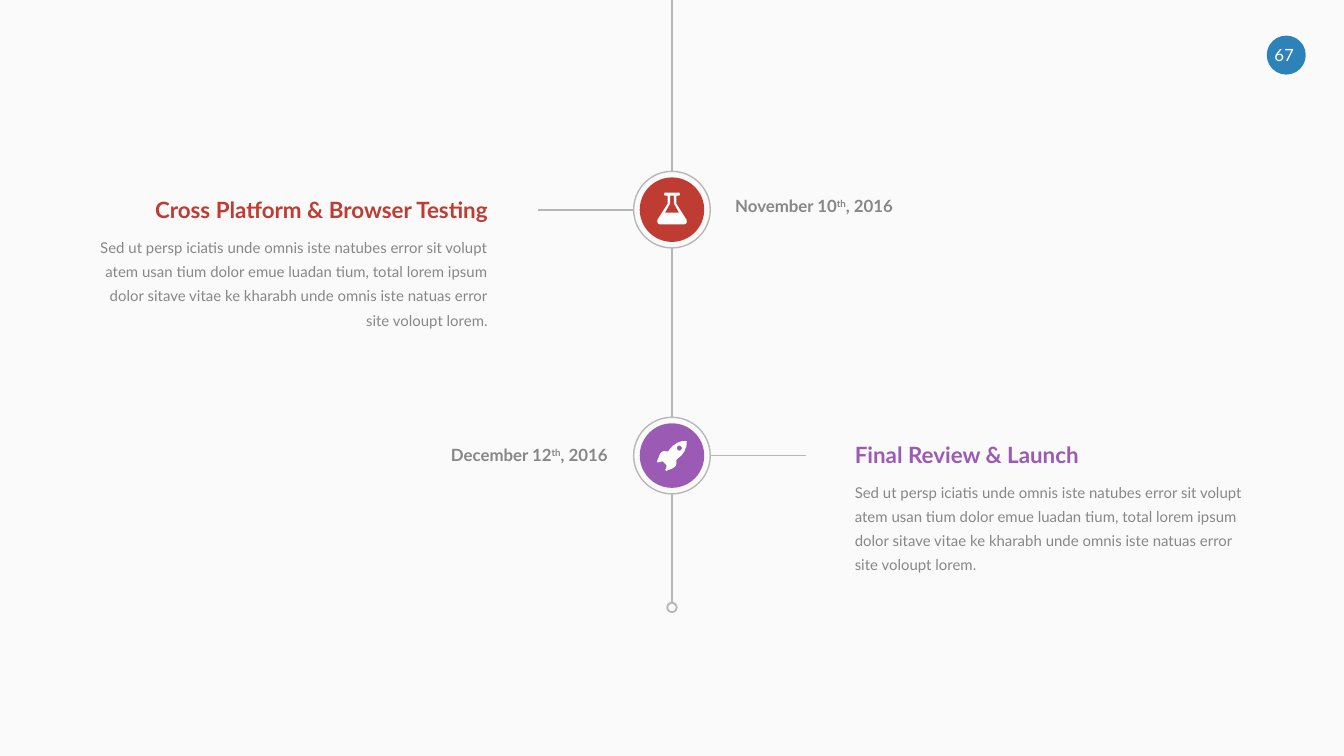
"""Build the closing timeline slide with two milestones."""
import math

import lxml.etree
import pptx
import pptx.dml.color
import pptx.enum.shapes
import pptx.enum.text
import pptx.oxml.ns
import pptx.util

Inches = pptx.util.Inches
RGBColor = pptx.dml.color.RGBColor
MSO_SHAPE = pptx.enum.shapes.MSO_SHAPE
LEFT = pptx.enum.text.PP_ALIGN.LEFT
CENTER = pptx.enum.text.PP_ALIGN.CENTER
RIGHT = pptx.enum.text.PP_ALIGN.RIGHT

PAPER = RGBColor(0xFA, 0xFA, 0xFA)
WHITE = RGBColor(0xFF, 0xFF, 0xFF)
BLUE = RGBColor(0x2D, 0x82, 0xB9)
RED = RGBColor(0xBE, 0x3C, 0x32)
PURPLE = RGBColor(0x9B, 0x5A, 0xB4)
GRAY = RGBColor(0x87, 0x87, 0x87)
RULE = RGBColor(0xB7, 0xB7, 0xB7)

AXIS, RING, DISC, END = 5, 0.57, 0.48, 0.07
BODY = ("Sed ut persp iciatis unde omnis iste natubes error sit volupt atem usan tium "
        "dolor emue luadan tium, total lorem ipsum dolor sitave vitae ke kharabh unde "
        "omnis iste natuas error site voloupt lorem.")

FLASK = [
    [(-54, -126), (54, -126), (60, -115), (54, -104), (32, -104), (32, -45), (108, 75),
     (110, 92), (103, 105), (90, 110), (-90, 110), (-103, 105), (-110, 92), (-108, 75),
     (-32, -45), (-32, -104), (-54, -104), (-60, -115)],
    [(-14, -104), (14, -104), (14, -45), (52, 22), (-52, 22), (-14, -45)],
]
ROCKET = [
    [(110, -108), (108, -72), (94, -34), (70, 0), (32, 32), (34, 56), (28, 78), (0, 98),
     (-42, 114), (-50, 108), (-42, 92), (-40, 72), (-70, 42), (-95, 50), (-108, 52),
     (-112, 45), (-88, -14), (-76, -28), (-60, -33), (-30, -30), (4, -70), (38, -94),
     (74, -107)],
    [(round(55 + 19 * math.cos(a * math.pi / 8)), round(-55 + 19 * math.sin(a * math.pi / 8)))
     for a in range(16)],
]


def add_text(text, x, y, w, h, size=9, color=GRAY, bold=False, align=LEFT, spacing=None):
    tf = slide.shapes.add_textbox(Inches(x), Inches(y), Inches(w), Inches(h)).text_frame
    tf.word_wrap = True
    tf.margin_left = tf.margin_right = tf.margin_top = tf.margin_bottom = 0
    p = tf.paragraphs[0]
    p.alignment = align
    p.line_spacing = spacing
    for i, part in enumerate(text.split("^")):
        r = p.add_run()
        r.text = part
        r.font.name = "Lato"
        r.font.size = pptx.util.Pt(size)
        r.font.bold = bold
        r.font.color.rgb = color
        if i == 1:
            r.font._element.set("baseline", "30000")


def add_circle(cx, cy, d, fill=None, line_width=None):
    sp = slide.shapes.add_shape(MSO_SHAPE.OVAL, Inches(cx - d / 2), Inches(cy - d / 2),
                                Inches(d), Inches(d))
    sp.shadow.inherit = False
    if fill is None:
        sp.fill.background()
        sp.line.color.rgb = RULE
        sp.line.width = pptx.util.Pt(line_width)
    else:
        sp.fill.solid()
        sp.fill.fore_color.rgb = fill
        sp.line.fill.background()


prs = pptx.Presentation()
prs.slide_width = Inches(10)
prs.slide_height = Inches(10 * 9 / 16)
slide = prs.slides.add_slide(prs.slide_layouts[6])
slide.background.fill.solid()
slide.background.fill.fore_color.rgb = PAPER

add_circle(9.57, 0.41, 0.29, fill=BLUE)
add_text("67", 9.43, 0.33, 0.25, 0.15, color=WHITE, align=CENTER)

milestones = [
    (1.56, RED, FLASK, -1, "Cross Platform & Browser Testing", 0.74, 1.46, RIGHT,
     "November 10^th^, 2016", 5.47, 1.46, LEFT),
    (3.39, PURPLE, ROCKET, 1, "Final Review & Launch", 6.36, 3.28, LEFT,
     "December 12^th^, 2016", 2.9, 3.31, RIGHT),
]

lines = []
top = 0
for (cy, color, icon, side, title, title_x, title_y, title_align,
     date, date_x, date_y, date_align) in milestones:
    lines.append((AXIS, top, AXIS, cy - RING / 2))
    lines.append((AXIS + side * RING / 2, cy, AXIS + side, cy))
    top = cy + RING / 2

    add_text(title, title_x, title_y, 2.89, 0.2, size=12, color=color, bold=True,
             align=title_align)
    add_text(BODY, title_x, title_y + 0.27, 2.89, 0.71, size=8, align=title_align,
             spacing=1.35)
    add_text(date, date_x, date_y, 1.62, 0.15, bold=True, align=date_align)

    add_circle(AXIS, cy, RING, line_width=0.75)
    add_circle(AXIS, cy, DISC, fill=color)
    fb = slide.shapes.build_freeform(*icon[0][0], scale=Inches(1) / 1000)
    fb.add_line_segments(icon[0][1:], close=True)
    for contour in icon[1:]:
        fb.move_to(*contour[0])
        fb.add_line_segments(contour[1:], close=True)
    sp = fb.convert_to_shape(Inches(AXIS), Inches(cy))
    sp.shadow.inherit = False
    sp.fill.solid()
    sp.fill.fore_color.rgb = WHITE
    sp.line.fill.background()

end_y = 4.52
lines.append((AXIS, top, AXIS, end_y - END / 2))
add_circle(AXIS, end_y, END, line_width=1)

for ends in lines:
    line = slide.shapes.add_connector(pptx.enum.shapes.MSO_CONNECTOR.STRAIGHT,
                                      *[Inches(v) for v in ends])
    line.line.color.rgb = RULE
    line.line.width = pptx.util.Pt(1)
    lxml.etree.SubElement(line._element.spPr, pptx.oxml.ns.qn("a:effectLst"))

prs.save("out.pptx")
